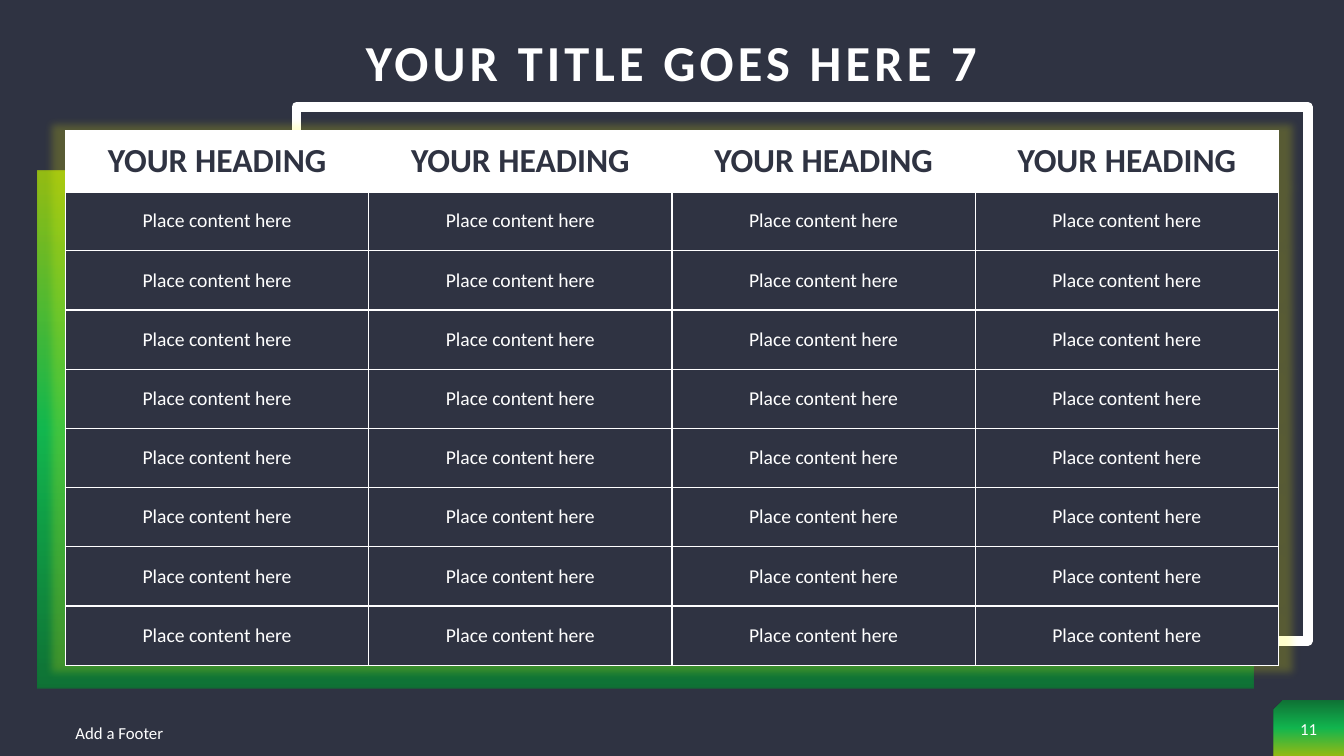
import pptx
import pptx.dml.color
import pptx.enum.shapes
import pptx.enum.text
import pptx.oxml
import pptx.oxml.ns
import pptx.util

Inches = pptx.util.Inches
Pt = pptx.util.Pt
RGBColor = pptx.dml.color.RGBColor
Shape = pptx.enum.shapes.MSO_SHAPE
Align = pptx.enum.text.PP_ALIGN
Anchor = pptx.enum.text.MSO_ANCHOR

NAVY = RGBColor(0x2F, 0x33, 0x42)
WHITE = RGBColor(0xFF, 0xFF, 0xFF)
GLOW = RGBColor(0xFF, 0xFF, 0x00)
GREENS = [
    (0, RGBColor(0x03, 0x8B, 0x30)),
    (50, RGBColor(0x05, 0xEE, 0x55)),
    (100, RGBColor(0xC0, 0xF4, 0x00)),
]
FONT = "Calibri"

TITLE = "YOUR TITLE GOES HERE 7"
FOOTER = "Add a Footer"
PAGE_NUMBER = "11"
HEADINGS = ["YOUR HEADING"] * 4
BODY = [["Place content here"] * 4] * 8

TABLE_BOX = (0.65, 1.3, 12.03, 5.3)
HEADING_HEIGHT = 0.6
MARGIN_X, MARGIN_Y = 0.07, 0.04

NAMESPACE = pptx.oxml.ns.nsdecls("a")


def style_text(frame, text, size, color, align, bold=False):
    para = frame.paragraphs[0]
    para.text = text
    para.alignment = align
    para.font.name = FONT
    para.font.size = Pt(size)
    para.font.bold = bold
    para.font.color.rgb = color
    return para


def add_text(page, place, text, size, align, bold=False):
    box = page.shapes.add_textbox(*map(Inches, place))
    frame = box.text_frame
    frame.word_wrap = True
    frame.vertical_anchor = Anchor.MIDDLE
    return style_text(frame, text, size, WHITE, align, bold)


def add_panel(page, kind, place):
    panel = page.shapes.add_shape(kind, *map(Inches, place))
    panel.shadow.inherit = False
    panel.fill.background()
    panel.line.fill.background()
    return panel


def fill_greens(panel, angle):
    stops = "".join(
        f'<a:gs pos="{position * 1000}"><a:srgbClr val="{color}">'
        f'<a:alpha val="70000"/></a:srgbClr></a:gs>'
        for position, color in GREENS
    )
    gradient = pptx.oxml.parse_xml(
        f'<a:gradFill {NAMESPACE} rotWithShape="1"><a:gsLst>{stops}</a:gsLst>'
        f'<a:lin ang="{angle * 60000}" scaled="0"/></a:gradFill>'
    )
    properties = panel._element.spPr
    properties.replace(properties.find(pptx.oxml.ns.qn("a:noFill")), gradient)


def add_borders(cell, widths):
    properties = cell._tc.get_or_add_tcPr()
    for side, width in widths.items():
        properties.append(pptx.oxml.parse_xml(
            f'<a:ln{side} {NAMESPACE} w="{Pt(width)}"><a:solidFill>'
            f'<a:srgbClr val="{WHITE}"/></a:solidFill></a:ln{side}>'
        ))


def add_glow(table):
    table._tbl.tblPr.insert(0, pptx.oxml.parse_xml(
        f'<a:effectLst {NAMESPACE}><a:outerShdw blurRad="{Pt(5)}" sx="102000" '
        f'sy="102000" algn="ctr" rotWithShape="0"><a:srgbClr val="{GLOW}">'
        f'<a:alpha val="20000"/></a:srgbClr></a:outerShdw></a:effectLst>'
    ))


def add_content_table(page):
    rows = [HEADINGS] + BODY
    left, top, width, height = TABLE_BOX
    table = page.shapes.add_table(
        len(rows), len(HEADINGS), *map(Inches, TABLE_BOX)).table
    table.horz_banding = False
    add_glow(table)
    for column in table.columns:
        column.width = Inches(width / len(HEADINGS))
    body_height = (height - HEADING_HEIGHT) / len(BODY)
    for row_index, texts in enumerate(rows):
        heading = row_index == 0
        table.rows[row_index].height = Inches(
            HEADING_HEIGHT if heading else body_height)
        borders = {"L": 1, "R": 1, "T": 3 if row_index == 1 else 1,
                   "B": 3 if heading else 1}
        for column_index, text in enumerate(texts):
            cell = table.cell(row_index, column_index)
            cell.margin_left = cell.margin_right = Inches(MARGIN_X)
            cell.margin_top = cell.margin_bottom = Inches(MARGIN_Y)
            cell.vertical_anchor = Anchor.MIDDLE
            add_borders(cell, borders)
            cell.fill.solid()
            cell.fill.fore_color.rgb = WHITE if heading else NAVY
            style_text(cell.text_frame, text, 24 if heading else 14,
                       NAVY if heading else WHITE, Align.CENTER, heading)


def main():
    deck = pptx.Presentation()
    deck.slide_width = Inches(13.33)
    deck.slide_height = Inches(7.5)
    page = deck.slides.add_slide(deck.slide_layouts[6])
    page.background.fill.solid()
    page.background.fill.fore_color.rgb = NAVY

    badge = add_panel(page, Shape.SNIP_1_RECTANGLE, (12.63, 6.95, 0.7, 0.55))
    badge._element.spPr.xfrm.set("flipH", "1")
    fill_greens(badge, 90)

    title = add_text(page, (0.65, 0, 12.03, 1.3), TITLE, 36, Align.CENTER, True)
    title.line_spacing = 0.9
    title.runs[0].font._element.set("spc", "300")

    outline = add_panel(page, Shape.RECTANGLE, (2.94, 1.06, 10.03, 5.3))
    outline.line.color.rgb = WHITE
    outline.line.width = Pt(7)

    backdrop = add_panel(page, Shape.RECTANGLE, (0.37, 1.69, 12.06, 5.14))
    fill_greens(backdrop, 270)

    add_content_table(page)
    add_text(page, (0.65, 7.07, 4.5, 0.4), FOOTER, 12, Align.LEFT)
    add_text(page, (12.63, 7.01, 0.7, 0.45), PAGE_NUMBER, 12, Align.CENTER)
    deck.save("out.pptx")


if __name__ == "__main__":
    main()
